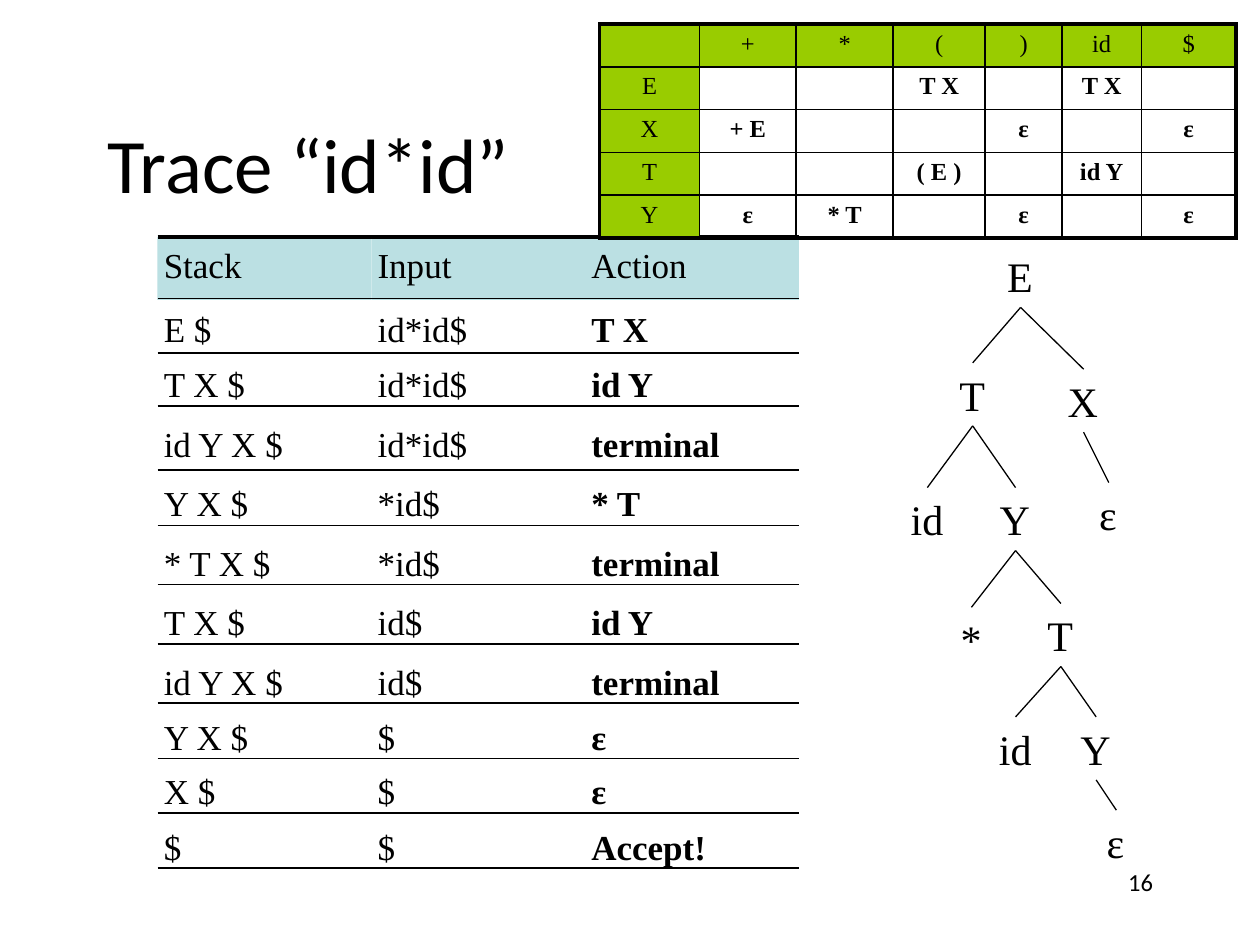
from dataclasses import dataclass
from typing import Optional

from lxml.etree import SubElement
from pptx import Presentation
from pptx.dml.color import RGBColor
from pptx.enum.shapes import MSO_CONNECTOR as Connector, MSO_SHAPE as Preset
from pptx.enum.text import MSO_ANCHOR as Anchor, MSO_AUTO_SIZE as AutoSize, PP_ALIGN as Align
from pptx.oxml import parse_xml
from pptx.oxml.ns import nsdecls, qn
from pptx.util import Inches, Pt

BLACK = RGBColor(0x00, 0x00, 0x00)
PALE_BLUE = RGBColor(0xBB, 0xE0, 0xE3)
GREEN = RGBColor(0x99, 0xCC, 0x00)
SERIF = "Times New Roman"
SANS = "Calibri"


@dataclass(frozen=True)
class Step:
    cells: tuple[str, str, str]
    top: float
    rule: float


@dataclass(frozen=True)
class Node:
    label: str
    center: float
    top: float
    parent: Optional["Node"] = None


TRACE_LEFT, TRACE_RIGHT, TRACE_TOP = 1.25, 6.34, 1.88
TRACE_COLUMN = (TRACE_RIGHT - TRACE_LEFT) / 3
HEADINGS = ("Stack", "Input", "Action")
STEPS = (
    Step(("E $", "id*id$", "T X"), 2.39, 2.8),
    Step(("T X $", "id*id$", "id Y"), 2.83, 3.22),
    Step(("id Y X $", "id*id$", "terminal"), 3.3, 3.73),
    Step(("Y X $", "*id$", "* T"), 3.77, 4.17),
    Step(("* T X $", "*id$", "terminal"), 4.25, 4.64),
    Step(("T X $", "id$", "id Y"), 4.72, 5.11),
    Step(("id Y X $", "id$", "terminal"), 5.19, 5.58),
    Step(("Y X $", "$", "ε"), 5.63, 6.02),
    Step(("X $", "$", "ε"), 6.06, 6.45),
    Step(("$", "$", "Accept!"), 6.5, 6.89),
)

PARSE_WIDTHS = (0.79, 0.77, 0.77, 0.73, 0.61, 0.63, 0.75)
PARSE_ROWS = (
    ("", "+", "*", "(", ")", "id", "$"),
    ("E", "", "", "T X", "", "T X", ""),
    ("X", "+ E", "", "", "ε", "", "ε"),
    ("T", "", "", "( E )", "", "id Y", ""),
    ("Y", "ε", "* T", "", "ε", "", "ε"),
)

NODE_HEIGHT = 0.5
NODE_WIDTHS = {"E": 0.41, "T": 0.41, "X": 0.45, "Y": 0.45, "id": 0.46, "*": 0.37, "ε": 0.35}
ROOT = Node("E", 8.1, 1.94)
TERM = Node("T", 7.72, 2.88, ROOT)
REST = Node("X", 8.6, 2.93, ROOT)
FACTOR = Node("Y", 8.06, 3.87, TERM)
INNER_TERM = Node("T", 8.42, 4.79, FACTOR)
INNER_FACTOR = Node("Y", 8.7, 5.69, INNER_TERM)
TREE = (
    ROOT, TERM, REST, FACTOR, INNER_TERM, INNER_FACTOR,
    Node("id", 7.36, 3.87, TERM),
    Node("ε", 8.8, 3.83, REST),
    Node("*", 7.71, 4.82, FACTOR),
    Node("id", 8.06, 5.69, INNER_TERM),
    Node("ε", 8.86, 6.43, INNER_FACTOR),
)


def write(frame, text: str, *, size: float, font: str = SERIF, bold: bool = False,
          align: Align = Align.LEFT) -> None:
    para = frame.paragraphs[0]
    para.alignment = align
    if not text:
        SubElement(para._p, qn("a:endParaRPr"), sz=str(size * 100))
        return
    span = para.add_run()
    span.text = text
    span.font.size = Pt(size)
    span.font.name = font
    span.font.bold = bold
    span.font.color.rgb = BLACK


def add_box(page, text: str, left: float, top: float, width: float, height: float, *,
            inset: Optional[float] = None, fill: Optional[RGBColor] = None,
            grow: bool = False, **style) -> None:
    area = [Inches(length) for length in (left, top, width, height)]
    if fill is None:
        box = page.shapes.add_textbox(*area)
    else:
        box = page.shapes.add_shape(Preset.RECTANGLE, *area)
        box.shadow.inherit = False
        box.fill.solid()
        box.fill.fore_color.rgb = fill
        box.line.fill.background()
    frame = box.text_frame
    frame.word_wrap = not grow
    frame.auto_size = AutoSize.SHAPE_TO_FIT_TEXT if grow else AutoSize.NONE
    frame.vertical_anchor = Anchor.TOP
    if inset is not None:
        frame.margin_left = frame.margin_right = Inches(inset)
        frame.margin_top = frame.margin_bottom = Inches(inset)
    write(frame, text, **style)


def add_line(page, start: tuple[float, float], end: tuple[float, float], weight: float) -> None:
    points = [Inches(length) for length in (*start, *end)]
    line = page.shapes.add_connector(Connector.STRAIGHT, *points)
    line.line.color.rgb = BLACK
    line.line.width = Pt(weight)
    SubElement(line._element.spPr, qn("a:effectLst"))


def add_trace_row(page, cells: tuple[str, ...], top: float, height: float, *,
                  bold_action: bool = True, fill: Optional[RGBColor] = None) -> None:
    for index, text in enumerate(cells):
        add_box(page, text, TRACE_LEFT + index * TRACE_COLUMN, top, TRACE_COLUMN, height,
                inset=0.05, fill=fill, size=20, bold=bold_action and index == 2)


def add_trace(page) -> None:
    add_trace_row(page, HEADINGS, TRACE_TOP, 0.5, bold_action=False, fill=PALE_BLUE)
    for step in STEPS:
        add_trace_row(page, step.cells, step.top, 0.28)
    rules = [(TRACE_TOP, 2.25), (2.37, 1)] + [(step.rule, 1) for step in STEPS]
    for height, weight in rules:
        add_line(page, (TRACE_LEFT, height), (TRACE_RIGHT, height), weight)


def set_borders(cell, outer: dict[str, bool]) -> None:
    properties = cell._tc.get_or_add_tcPr()
    for index, (side, is_outer) in enumerate(outer.items()):
        width = Pt(2.25 if is_outer else 1)
        properties.insert(index, parse_xml(
            f'<a:ln{side} {nsdecls("a")} w="{width}"><a:solidFill>'
            f'<a:srgbClr val="{BLACK}"/></a:solidFill></a:ln{side}>'))


def add_parse_table(page) -> None:
    last_row, last_column = len(PARSE_ROWS) - 1, len(PARSE_WIDTHS) - 1
    table = page.shapes.add_table(
        len(PARSE_ROWS), len(PARSE_WIDTHS),
        Inches(4.76), Inches(0.19), Inches(sum(PARSE_WIDTHS)), Inches(1.7)).table
    table.first_row = table.horz_banding = False
    for column, width in zip(table.columns, PARSE_WIDTHS):
        column.width = Inches(width)
    for row, texts in enumerate(PARSE_ROWS):
        for column, text in enumerate(texts):
            cell = table.cell(row, column)
            is_heading = row == 0 or column == 0
            if is_heading:
                cell.fill.solid()
                cell.fill.fore_color.rgb = GREEN
            else:
                cell.fill.background()
            set_borders(cell, {"L": column == 0, "R": column == last_column,
                               "T": row == 0, "B": row == last_row})
            write(cell.text_frame, text, size=14, bold=not is_heading, align=Align.CENTER)


def add_node(page, node: Node) -> None:
    width = NODE_WIDTHS[node.label]
    add_box(page, node.label, node.center - width / 2, node.top, width, NODE_HEIGHT,
            grow=True, size=24)
    if node.parent:
        add_line(page, (node.parent.center, node.parent.top + NODE_HEIGHT),
                 (node.center, node.top), 0.75)


def main() -> None:
    deck = Presentation()
    deck.slide_width, deck.slide_height = Inches(10), Inches(7.5)
    page = deck.slides.add_slide(deck.slide_layouts[5])
    title = page.shapes.title
    title.left, title.top = Inches(0.75), Inches(0.67)
    title.width, title.height = Inches(8.5), Inches(1.25)
    title.text_frame.vertical_anchor = Anchor.MIDDLE
    write(title.text_frame, "Trace “id*id”", size=44, font=SANS)
    add_box(page, "16", 7.17, 6.83, 2.08, 0.5, size=14, font=SANS, align=Align.RIGHT)
    add_trace(page)
    add_parse_table(page)
    for node in TREE:
        add_node(page, node)
    deck.save("out.pptx")


if __name__ == "__main__":
    main()
